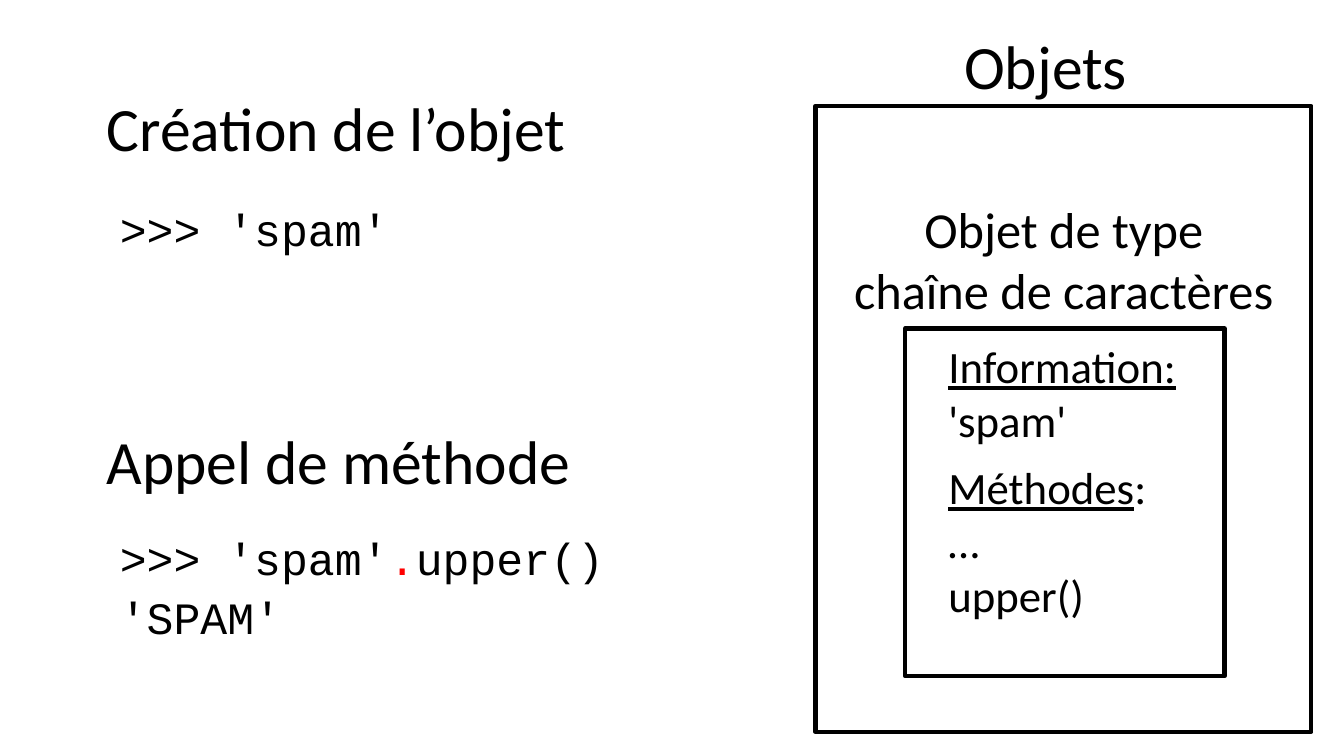
"""Slide on creating a string object and calling one of its methods."""
from pptx import Presentation
from pptx.dml.color import RGBColor
from pptx.enum.shapes import MSO_SHAPE
from pptx.enum.text import PP_ALIGN
from pptx.util import Cm, Pt

RECT = MSO_SHAPE.RECTANGLE
LEFT, CENTER = PP_ALIGN.LEFT, PP_ALIGN.CENTER
BODY, CODE = "Calibri", "Courier New"
BLACK, WHITE, RED = "000000", "FFFFFF", "FF0000"


def rgb(value):
    """Turn a hex string into a colour."""
    return RGBColor.from_string(value)


def add_text(s, box, paragraphs, size, font=BODY, align=LEFT, fill=None):
    """Add text given as paragraphs of (text, colour, underline) runs."""
    tb = s.shapes.add_textbox(*map(Cm, box))
    if fill:
        tb.fill.solid()
        tb.fill.fore_color.rgb = rgb(fill)
    tf = tb.text_frame
    tf.word_wrap = True
    for i, runs in enumerate(paragraphs):
        p = tf.paragraphs[0] if i == 0 else tf.add_paragraph()
        p.alignment = align
        for text, color, underline in runs:
            r = p.add_run()
            r.text = text
            r.font.name = font
            r.font.size = Pt(size)
            r.font.color.rgb = rgb(color)
            r.font.underline = underline


def plain(text, color=BLACK):
    """Return a run without underline."""
    return text, color, False


def underlined(text):
    """Return an underlined black run."""
    return text, BLACK, True


def add_frame(s, box):
    """Add an unfilled black frame."""
    sp = s.shapes.add_shape(RECT, *map(Cm, box))
    sp.shadow.inherit = False
    sp.fill.background()
    sp.line.color.rgb = rgb(BLACK)
    sp.line.width = Pt(3)


def add_example(s, box, heading, code_lines):
    """Add a heading with lines of code at given offsets below it."""
    x, y, w, h = box
    add_text(s, box, [[plain(heading)]], 44)
    for offset, runs, fill in code_lines:
        add_text(s, (x + 0.33, y + offset, 20.88, 3), [runs], 32, CODE, fill=fill)


def add_object(s, box):
    """Add the string object with its information and methods."""
    x, y, w, h = box
    add_frame(s, box)
    add_text(s, (x - 1.55, y - 3.4, w + 3.05, 3.33),
             [[plain("Objet de type chaîne de caractères")]], 36, align=CENTER)
    add_text(s, (x + 0.84, y + 0.13, 6.5, 3),
             [[underlined("Information:")], [plain("'spam'")]], 32)
    add_text(s, (x + 0.84, y + 3.18, 6.5, 4.37),
             [[underlined("Méthodes"), plain(":")], [plain("…")], [plain("upper()")]], 32)


def add_objects_panel(s, box):
    """Add the titled panel that holds the object."""
    x, y, w, h = box
    add_frame(s, box)
    add_text(s, (x + 3.5, y - 2.09, 5.69, 2.13), [[plain("Objets")]], 44)
    add_object(s, (x + 2.26, y + 5.61, 8.05, 8.76))


def main():
    """Build the slide and save it."""
    prs = Presentation()
    prs.slide_width, prs.slide_height = Cm(33.87), Cm(19.05)
    s = prs.slides.add_slide(prs.slide_layouts[6])
    add_example(s, (2.44, 2.13, 13.49, 2.13), "Création de l’objet",
                [(2.82, [plain(">>> 'spam'")], None)])
    call = [plain(">>> 'spam'"), plain(".", RED), plain("upper()")]
    add_example(s, (2.44, 10.54, 13.49, 2.13), "Appel de méthode",
                [(2.72, call, WHITE), (4.19, [plain("'SPAM'")], None)])
    add_objects_panel(s, (20.55, 2.67, 12.5, 15.77))
    prs.save("out.pptx")


if __name__ == "__main__":
    main()
